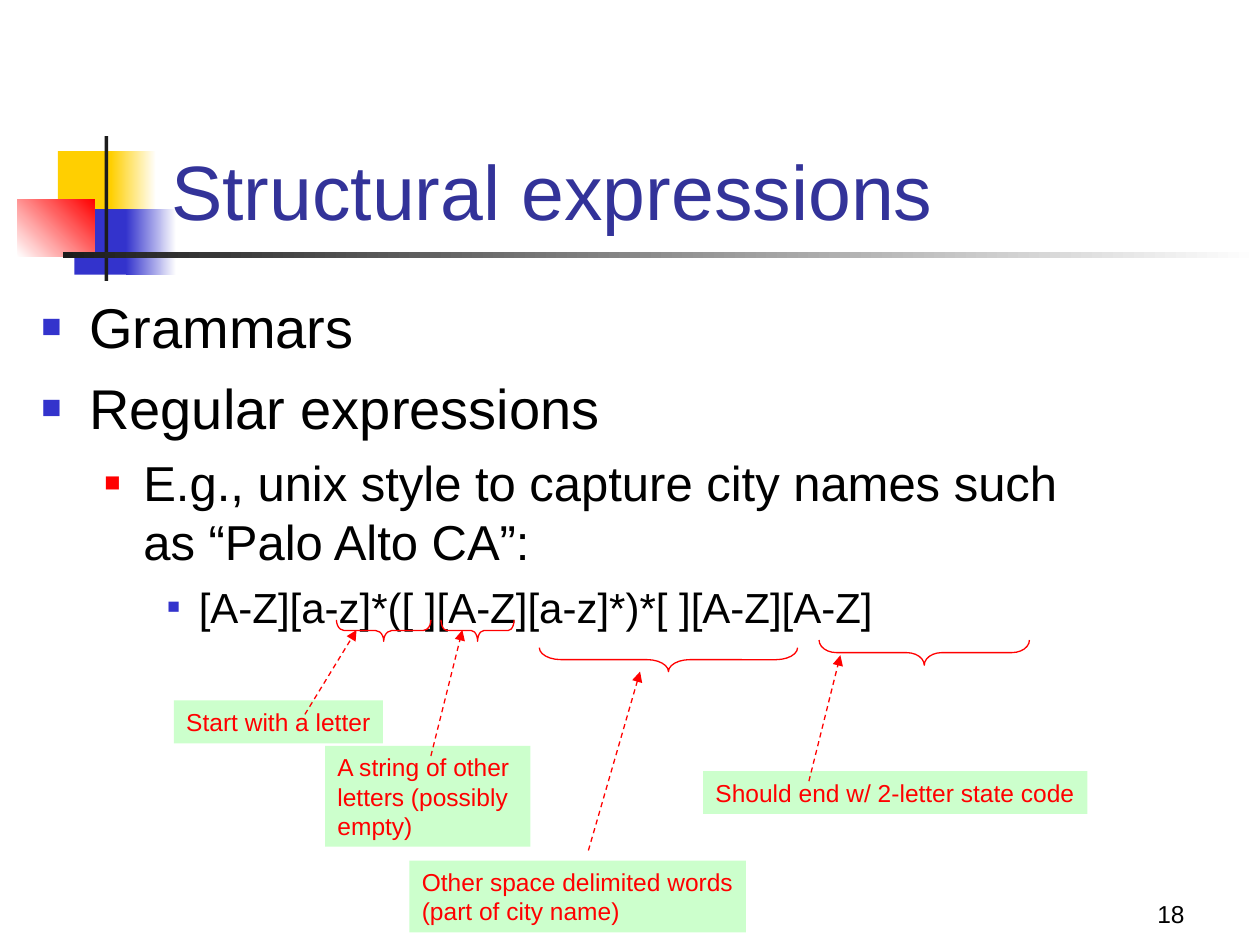
from lxml import etree
from pptx import Presentation
from pptx.dml.color import RGBColor
from pptx.enum import dml, shapes, text
from pptx.oxml import ns
from pptx.util import Inches, Pt

FONT = "Arial"
COLORS = {
    "yellow": "FFCF01", "blue": "3333CC", "red": "FF0000", "dark": "1C1C1C",
    "white": "FFFFFF", "title": "333399", "black": "000000", "mint": "CCFFCC",
}
LEVELS = [
    {"size": 32, "before": 8, "margin": 0.38, "hang": 0.38, "bullet": "blue", "scale": 60},
    {"size": 28, "before": 7, "margin": 0.81, "hang": 0.31, "bullet": "red", "scale": 55},
    {"size": 24, "before": 6, "margin": 1.25, "hang": 0.25, "bullet": "blue", "scale": 50},
]
OUTLINE = [
    (0, "Grammars"),
    (0, "Regular expressions"),
    (1, "E.g., unix style to capture city names such as “Palo Alto CA”:"),
    (2, "[A-Z][a-z]*([ ][A-Z][a-z]*)*[ ][A-Z][A-Z]"),
]
CALLOUTS = [
    ("Start with a letter", (1.38, 5.56, 1.66, 0.34),
     (2.42, 5.67, 2.83, 5), (2.67, 4.92, 0.75, 0.17)),
    ("A string of other \nletters (possibly\nempty)", (2.58, 5.92, 1.63, 0.8),
     (3.42, 6, 3.67, 5), (3.5, 4.92, 0.58, 0.17)),
    ("Other space delimited words\n(part of city name)", (3.25, 6.83, 2.67, 0.57),
     (4.67, 6.75, 5.08, 5.33), (4.28, 5.14, 2.05, 0.19)),
    ("Should end w/ 2-letter state code", (5.58, 6.12, 3.05, 0.34),
     (6.42, 6.2, 6.67, 5.2), (6.5, 5.08, 1.67, 0.2)),
]


def rgb(name):
    """Return the named colour."""
    return RGBColor.from_string(COLORS[name])


def inches(values):
    """Turn numbers into a list of lengths."""
    return [Inches(value) for value in values]


def style(para, size, color):
    """Set the font of a paragraph."""
    para.font.name = FONT
    para.font.size = Pt(size)
    para.font.color.rgb = rgb(color)


def add_block(page, box, start, end=None, angle=0):
    """Add a borderless rectangle, filled plainly or with a gradient."""
    block = page.shapes.add_shape(shapes.MSO_SHAPE.RECTANGLE, *inches(box))
    block.shadow.inherit = False
    block.line.fill.background()
    if end is None:
        block.fill.solid()
        block.fill.fore_color.rgb = rgb(start)
    else:
        block.fill.gradient()
        block.fill.gradient_angle = angle
        for stop, color in zip(block.fill.gradient_stops, (start, end)):
            stop.color.rgb = rgb(color)
    return block


def add_emblem(page, box):
    """Add the coloured squares and the crossing rules."""
    left, top, width, _ = box
    add_block(page, (left + 0.32, top + 0.12, 0.48, 0.52), "yellow")
    add_block(page, (left + 0.74, top + 0.12, 0.36, 0.52), "yellow", "white")
    add_block(page, (left + 0.45, top + 0.58, 0.46, 0.52), "blue")
    add_block(page, (left + 0.86, top + 0.58, 0.4, 0.52), "blue", "white")
    add_block(page, (left, top + 0.5, 0.61, 0.46), "white", "red", 45)
    add_block(page, (left + 0.69, top, 0.03, 1.15), "dark")
    add_block(page, (left + 0.36, top + 0.92, width - 0.36, 0.05), "dark", "white")


def add_line_of_text(page, box, words, size, color, align):
    """Add one line of text resting on the bottom of its box."""
    frame = page.shapes.add_textbox(*inches(box)).text_frame
    frame.word_wrap = True
    frame.vertical_anchor = text.MSO_ANCHOR.BOTTOM
    para = frame.paragraphs[0]
    para.text = words
    para.alignment = align
    style(para, size, color)


def add_bullet(para, level):
    """Give a paragraph a square bullet and a hanging indent."""
    props = para._p.get_or_add_pPr()
    props.set("marL", str(Inches(level["margin"])))
    props.set("indent", str(-Inches(level["hang"])))
    color = etree.SubElement(props, ns.qn("a:buClr"))
    etree.SubElement(color, ns.qn("a:srgbClr"), val=COLORS[level["bullet"]])
    etree.SubElement(props, ns.qn("a:buSzPct"), val=str(level["scale"] * 1000))
    etree.SubElement(props, ns.qn("a:buFont"), typeface=FONT)
    etree.SubElement(props, ns.qn("a:buChar"), char="■")


def add_outline(page, box):
    """Add the bulleted outline."""
    frame = page.shapes.add_textbox(*inches(box)).text_frame
    frame.word_wrap = True
    for index, (depth, words) in enumerate(OUTLINE):
        level = LEVELS[depth]
        para = frame.add_paragraph() if index else frame.paragraphs[0]
        para.text = words
        para.level = depth
        add_bullet(para, level)
        if index:
            para.space_before = Pt(level["before"])
        style(para, level["size"], "black")


def add_label(page, box, words):
    """Add a mint label that fits its text."""
    frame = add_block(page, box, "mint").text_frame
    frame.word_wrap = False
    frame.auto_size = text.MSO_AUTO_SIZE.SHAPE_TO_FIT_TEXT
    para = frame.paragraphs[0]
    para.text = words
    para.alignment = text.PP_ALIGN.LEFT
    style(para, 14, "red")


def add_arrow(page, ends):
    """Add a dashed red arrow."""
    arrow = page.shapes.add_connector(shapes.MSO_CONNECTOR.STRAIGHT, *inches(ends))
    arrow.line.color.rgb = rgb("red")
    arrow.line.width = Pt(0.75)
    arrow.line.dash_style = dml.MSO_LINE.DASH
    etree.SubElement(arrow.line._get_or_add_ln(), ns.qn("a:tailEnd"), type="triangle")
    etree.SubElement(arrow._element.spPr, ns.qn("a:effectLst"))


def add_brace(page, box):
    """Add a red brace that opens upwards and fills the box."""
    left, top, length, depth = box
    upright = (left + (length - depth) / 2, top + (depth - length) / 2, depth, length)
    brace = page.shapes.add_shape(shapes.MSO_SHAPE.RIGHT_BRACE, *inches(upright))
    brace.rotation = 90
    brace.adjustments[0] = length / 12 / depth
    brace.shadow.inherit = False
    brace.fill.background()
    brace.line.color.rgb = rgb("red")
    brace.line.width = Pt(0.75)


def build_slide(page, box):
    """Place every region of the slide."""
    left, top, width, _ = box
    add_emblem(page, (left + 0.14, top + 1.08, width - 0.14, 1.15))
    add_line_of_text(page, (left + 7.42, top + 6.92, 2.08, 0.5), "18", 14, "black",
                     text.PP_ALIGN.RIGHT)
    add_line_of_text(page, (left + 1.26, top + 0.67, 8.52, 1.25),
                     "Structural expressions", 44, "title", text.PP_ALIGN.LEFT)
    add_outline(page, (left + 0.23, top + 2.27, 8.5, 4.5))
    for words, label, arrow, brace in CALLOUTS:
        add_label(page, label, words)
        add_arrow(page, arrow)
        add_brace(page, brace)


def main():
    """Build and save the deck."""
    deck = Presentation()
    deck.slide_width, deck.slide_height = Inches(10), Inches(7.5)
    page = deck.slides.add_slide(deck.slide_layouts[6])
    build_slide(page, (0, 0, 10, 7.5))
    deck.save("out.pptx")


if __name__ == "__main__":
    main()
